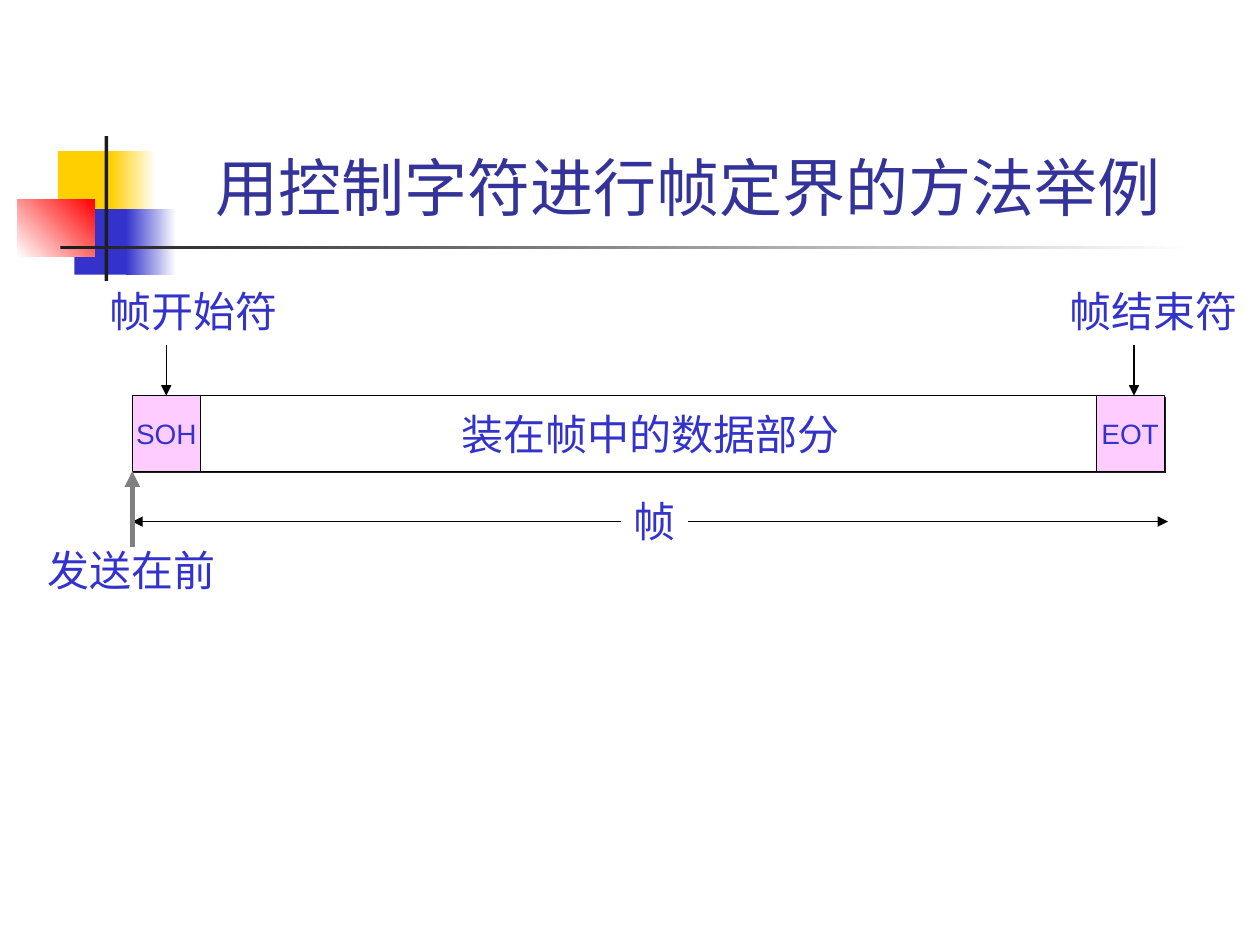
import pptx
import pptx.dml.color
import pptx.enum.shapes
import pptx.enum.text
import pptx.oxml
import pptx.oxml.ns
import pptx.util
from pptx.util import Inches

ALIGN = pptx.enum.text.PP_ALIGN
ANCHOR = pptx.enum.text.MSO_ANCHOR
NAMESPACE = pptx.oxml.ns.nsdecls("a")


def color(value):
    return pptx.dml.color.RGBColor.from_string(value)


class FrameSlide:
    font_name = "Arial"
    ink = "3333CC"
    dark = "1C1C1C"
    pink = "FFCCFF"

    def __init__(self, slide):
        self.slide = slide

    def set_text(self, shape, text, size, ink=None, align=ALIGN.LEFT, anchor=ANCHOR.TOP, wrap=False):
        frame = shape.text_frame
        frame_format = {"word_wrap": wrap, "vertical_anchor": anchor}
        for name, value in frame_format.items():
            setattr(frame, name, value)
        paragraph = frame.paragraphs[0]
        paragraph.alignment = align
        run = paragraph.add_run()
        run.text = text
        font_format = {"name": self.font_name, "size": pptx.util.Pt(size)}
        for name, value in font_format.items():
            setattr(run.font, name, value)
        run.font.color.rgb = color(ink or self.ink)

    def block(self, left, top, width, height, fill, fade_to=None, angle=0):
        """Borderless rectangle, plain or fading to a second colour."""
        shape = self.slide.shapes.add_shape(
            pptx.enum.shapes.MSO_SHAPE.RECTANGLE,
            Inches(left), Inches(top), Inches(width), Inches(height))
        shape.shadow.inherit = False
        shape.line.fill.background()
        if fade_to:
            shape.fill.gradient()
            shape.fill.gradient_angle = angle
            for stop, value in zip(shape.fill.gradient_stops, (fill, fade_to)):
                stop.color.rgb = color(value)
        else:
            shape.fill.solid()
            shape.fill.fore_color.rgb = color(fill)
        return shape

    def field(self, left, width, text, size, fill):
        """Outlined part of the frame with a small hard shadow."""
        shape = self.block(left, 3.14, width, 0.6, fill)
        shape.line.color.rgb = color("000000")
        shape.line.width = pptx.util.Pt(0.75)
        effects = shape._element.spPr.find(pptx.oxml.ns.qn("a:effectLst"))
        effects.append(pptx.oxml.parse_xml(
            f'<a:outerShdw {NAMESPACE} dist="17780" dir="2700000" algn="ctr" rotWithShape="0">'
            f'<a:srgbClr val="{self.dark}"/></a:outerShdw>'))
        self.set_text(shape, text, size, align=ALIGN.CENTER, anchor=ANCHOR.MIDDLE)
        return shape

    def label(self, left, top, width, height, text, size=24, **text_format):
        box = self.slide.shapes.add_textbox(
            Inches(left), Inches(top), Inches(width), Inches(height))
        self.set_text(box, text, size, **text_format)
        return box

    def arrow(self, start, end, line_color="000000", width=0.75, both_ends=False):
        connector = self.slide.shapes.add_connector(
            pptx.enum.shapes.MSO_CONNECTOR.STRAIGHT,
            *(Inches(length) for length in start + end))
        connector.line.color.rgb = color(line_color)
        connector.line.width = pptx.util.Pt(width)
        line = connector.line._get_or_add_ln()
        for tag in ("headEnd", "tailEnd") if both_ends else ("tailEnd",):
            line.append(pptx.oxml.parse_xml(f'<a:{tag} {NAMESPACE} type="triangle"/>'))
        connector._element.spPr.append(pptx.oxml.parse_xml(f"<a:effectLst {NAMESPACE}/>"))
        return connector


def main():
    presentation = pptx.Presentation()
    presentation.slide_width = Inches(10)
    presentation.slide_height = Inches(7.5)
    page = FrameSlide(presentation.slides.add_slide(presentation.slide_layouts[6]))

    # Corner ornament and title rule
    page.block(0.46, 1.2, 0.48, 0.52, "FFCF01")
    page.block(0.88, 1.2, 0.36, 0.52, "FFCF01", "FFFFFF")
    page.block(0.59, 1.66, 0.46, 0.52, page.ink)
    page.block(1, 1.66, 0.4, 0.52, page.ink, "FFFFFF")
    page.block(0.14, 1.58, 0.61, 0.46, "FFFFFF", "FF0000", angle=45)
    page.block(0.83, 1.08, 0.03, 1.15, page.dark)
    page.block(0.48, 1.95, 9, 0.03, page.dark, "FFFFFF")

    # Title
    page.label(1.26, 0.23, 8.52, 1.6, "用控制字符进行帧定界的方法举例 ", 36, ink="333399",
               align=ALIGN.CENTER, anchor=ANCHOR.BOTTOM, wrap=True)

    # Frame fields
    start_field = page.field(1.05, 0.54, "SOH", 16, page.pink)
    page.field(1.59, 7.14, "装在帧中的数据部分", 24, "FFFFFF")
    page.field(8.7, 0.54, "EOT", 16, page.pink)

    # Length of the whole frame
    page.arrow((1.05, 4.14), (9.27, 4.14), both_ends=True)
    frame_label = page.label(4.93, 3.88, 0.53, 0.5, "帧")
    frame_label.fill.solid()
    frame_label.fill.fore_color.rgb = color("FFFFFF")

    # Delimiters and sending order
    for left, text in ((0.77, "帧开始符"), (8.39, "帧结束符")):
        page.label(left, 2.22, 1.53, 0.5, text)
    page.arrow((1.32, 2.74), (1.32, 3.14)).end_connect(start_field, 0)
    page.arrow((9, 2.74), (9, 3.14))
    page.arrow((1.05, 4.34), (1.05, 3.74), "808080", 3)
    page.label(0.28, 4.27, 1.53, 0.5, "发送在前")

    presentation.save("out.pptx")


if __name__ == "__main__":
    main()
